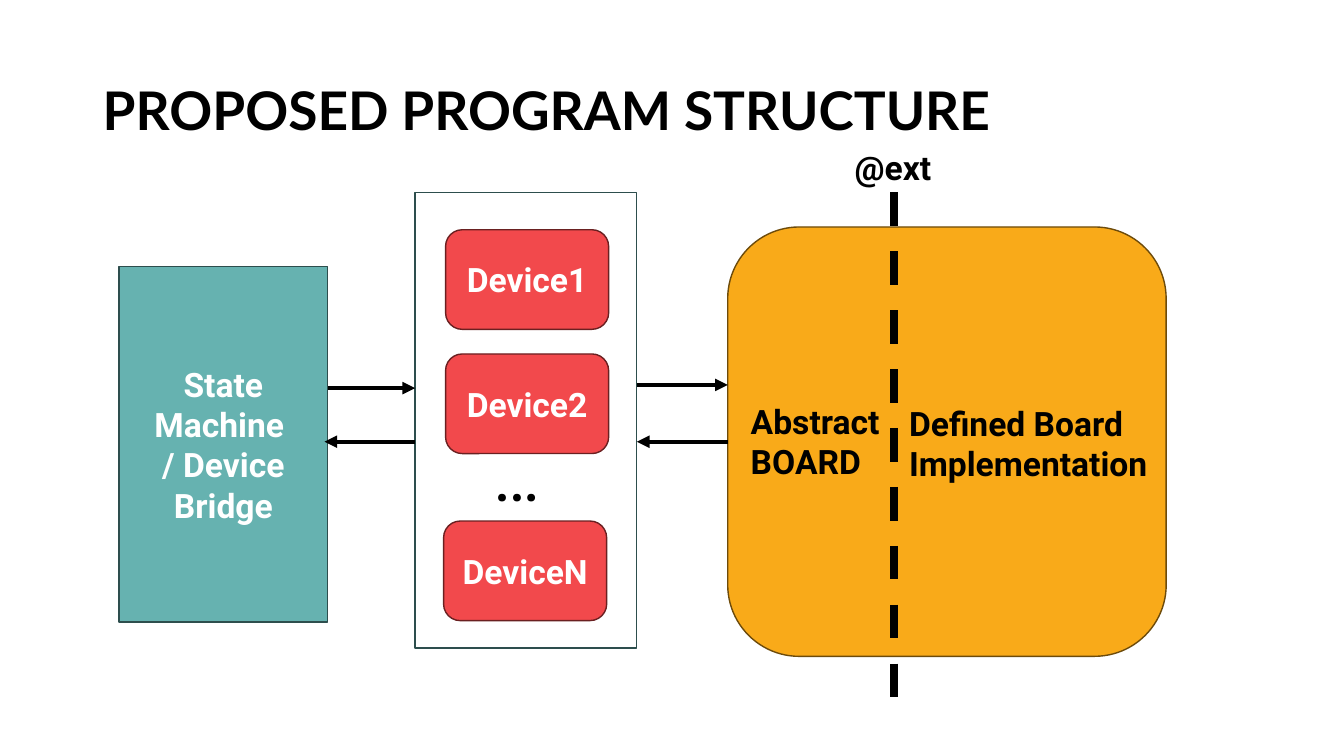
"""Build the slide that shows the proposed program structure."""
from dataclasses import dataclass
from typing import Optional

from lxml import etree
from pptx import Presentation, util as u
from pptx.dml.color import RGBColor
from pptx.enum import dml, shapes, text
from pptx.oxml import ns
from pptx.shapes.autoshape import Shape
from pptx.shapes.connector import Connector
from pptx.slide import Slide
from pptx.text.text import TextFrame

BLACK = RGBColor(0x00, 0x00, 0x00)
WHITE = RGBColor(0xFF, 0xFF, 0xFF)
TEAL = RGBColor(0x66, 0xB2, 0xB0)
DARK_TEAL = RGBColor(0x2D, 0x4E, 0x4D)
RED = RGBColor(0xF2, 0x49, 0x4C)
DARK_RED = RGBColor(0x6A, 0x20, 0x21)
ORANGE = RGBColor(0xF9, 0xAA, 0x19)
DARK_ORANGE = RGBColor(0x6D, 0x4B, 0x0B)

RECTANGLE = shapes.MSO_SHAPE.RECTANGLE
ROUNDED = shapes.MSO_SHAPE.ROUNDED_RECTANGLE
LEFT_SIDE = 1


@dataclass(frozen=True)
class Box:
    left: float
    top: float
    width: float
    height: float
    outline: RGBColor
    fill: Optional[RGBColor] = None
    preset: shapes.MSO_SHAPE = RECTANGLE
    lines: tuple[str, ...] = ()


@dataclass(frozen=True)
class Label:
    left: float
    top: float
    width: float
    height: float
    lines: tuple[str, ...]
    size: float = 24
    bold: bool = True
    font: str = "Roboto"
    anchor: text.MSO_ANCHOR = text.MSO_ANCHOR.TOP
    spacing: float = 1.0


@dataclass(frozen=True)
class Line:
    start_x: float
    start_y: float
    end_x: float
    end_y: float
    width: float = 3
    dashed: bool = False
    arrow: bool = True


def device(left: float, top: float, name: str) -> Box:
    """Describe one device box."""
    return Box(left, top, 4.11, 2.51, DARK_RED, RED, ROUNDED, (name,))


CONTAINER = Box(10.46, 4.85, 5.59, 11.48, DARK_TEAL)
STATE_MACHINE = Box(3, 6.71, 5.26, 8.97, DARK_TEAL, TEAL,
                    lines=("State Machine ", "/ Device Bridge"))
DEVICES = (
    device(11.23, 5.79, "Device1"),
    device(11.23, 8.92, "Device2"),
    device(11.18, 13.13, "DeviceN"),
)
BOARD = Box(18.34, 5.72, 11.05, 10.82, DARK_ORANGE, ORANGE, ROUNDED)

TITLE = Label(2.34, 1.02, 29.21, 3.68, ("PROPOSED PROGRAM STRUCTURE",), 38,
              font="Lato", anchor=text.MSO_ANCHOR.MIDDLE, spacing=0.9)
LABELS = (
    Label(18.67, 9.98, 3.78, 2.31, ("Abstract", "BOARD")),
    Label(21.29, 3.58, 2.49, 1.27, ("@ext",)),
    Label(22.66, 10.03, 6.78, 2.31, ("Defined Board Implementation",)),
    Label(12.19, 10.74, 2.06, 2.39, ("…",), 50, False),
)

DIVIDER = Line(22.53, 4.85, 22.53, 18.08, 6, dashed=True, arrow=False)
BOARD_TO_DEVICES = Line(18.34, 11.13, 16.05, 11.13)
FREE_ARROWS = (
    Line(8.26, 9.78, 10.46, 9.78),
    Line(16.05, 9.7, 18.34, 9.7),
    Line(10.46, 11.13, 8.18, 11.13),
)


def write_lines(frame: TextFrame, lines: tuple[str, ...], size: float,
                color: RGBColor, alignment: text.PP_ALIGN,
                font: str = "Roboto", bold: bool = True,
                spacing: float = 1.0) -> None:
    """Write each line as a paragraph with one formatted run."""
    frame.word_wrap = True
    for index, line in enumerate(lines):
        paragraph = frame.add_paragraph() if index else frame.paragraphs[0]
        paragraph.alignment = alignment
        paragraph.line_spacing = spacing
        run = paragraph.add_run()
        run.text = line
        run.font.name = font
        run.font.size = u.Pt(size)
        run.font.bold = bold
        run.font.color.rgb = color


def draw_box(slide: Slide, box: Box) -> Shape:
    """Draw an outlined box with its centred text."""
    shape = slide.shapes.add_shape(box.preset, u.Cm(box.left), u.Cm(box.top),
                                   u.Cm(box.width), u.Cm(box.height))
    shape.shadow.inherit = False
    if box.fill is None:
        shape.fill.background()
    else:
        shape.fill.solid()
        shape.fill.fore_color.rgb = box.fill
    shape.line.color.rgb = box.outline
    shape.line.width = u.Pt(1)
    shape.text_frame.vertical_anchor = text.MSO_ANCHOR.MIDDLE
    write_lines(shape.text_frame, box.lines, 24, WHITE, text.PP_ALIGN.CENTER)
    return shape


def draw_label(slide: Slide, label: Label) -> None:
    """Draw a text box with black text."""
    shape = slide.shapes.add_textbox(u.Cm(label.left), u.Cm(label.top),
                                     u.Cm(label.width), u.Cm(label.height))
    shape.text_frame.vertical_anchor = label.anchor
    write_lines(shape.text_frame, label.lines, label.size, BLACK,
                text.PP_ALIGN.LEFT, label.font, label.bold, label.spacing)


def draw_line(slide: Slide, line: Line) -> Connector:
    """Draw a black connector, dashed or with an arrowhead if asked."""
    connector = slide.shapes.add_connector(
        shapes.MSO_CONNECTOR.STRAIGHT, u.Cm(line.start_x), u.Cm(line.start_y),
        u.Cm(line.end_x), u.Cm(line.end_y))
    connector.line.color.rgb = BLACK
    connector.line.width = u.Pt(line.width)
    if line.dashed:
        connector.line.dash_style = dml.MSO_LINE.DASH
    properties = connector.element.spPr
    if line.arrow:
        outline = properties.find(ns.qn("a:ln"))
        etree.SubElement(outline, ns.qn("a:tailEnd"), type="triangle")
    etree.SubElement(properties, ns.qn("a:effectLst"))
    return connector


def main() -> None:
    """Draw the slide and save the presentation."""
    presentation = Presentation()
    presentation.slide_width = u.Cm(33.87)
    presentation.slide_height = u.Cm(19.05)
    slide = presentation.slides.add_slide(presentation.slide_layouts[6])

    draw_box(slide, CONTAINER)
    draw_label(slide, TITLE)
    for box in (STATE_MACHINE, *DEVICES):
        draw_box(slide, box)
    board = draw_box(slide, BOARD)
    draw_line(slide, DIVIDER)
    for label in LABELS:
        draw_label(slide, label)
    for arrow in FREE_ARROWS:
        draw_line(slide, arrow)
    draw_line(slide, BOARD_TO_DEVICES).begin_connect(board, LEFT_SIDE)

    presentation.save("out.pptx")


if __name__ == "__main__":
    main()
